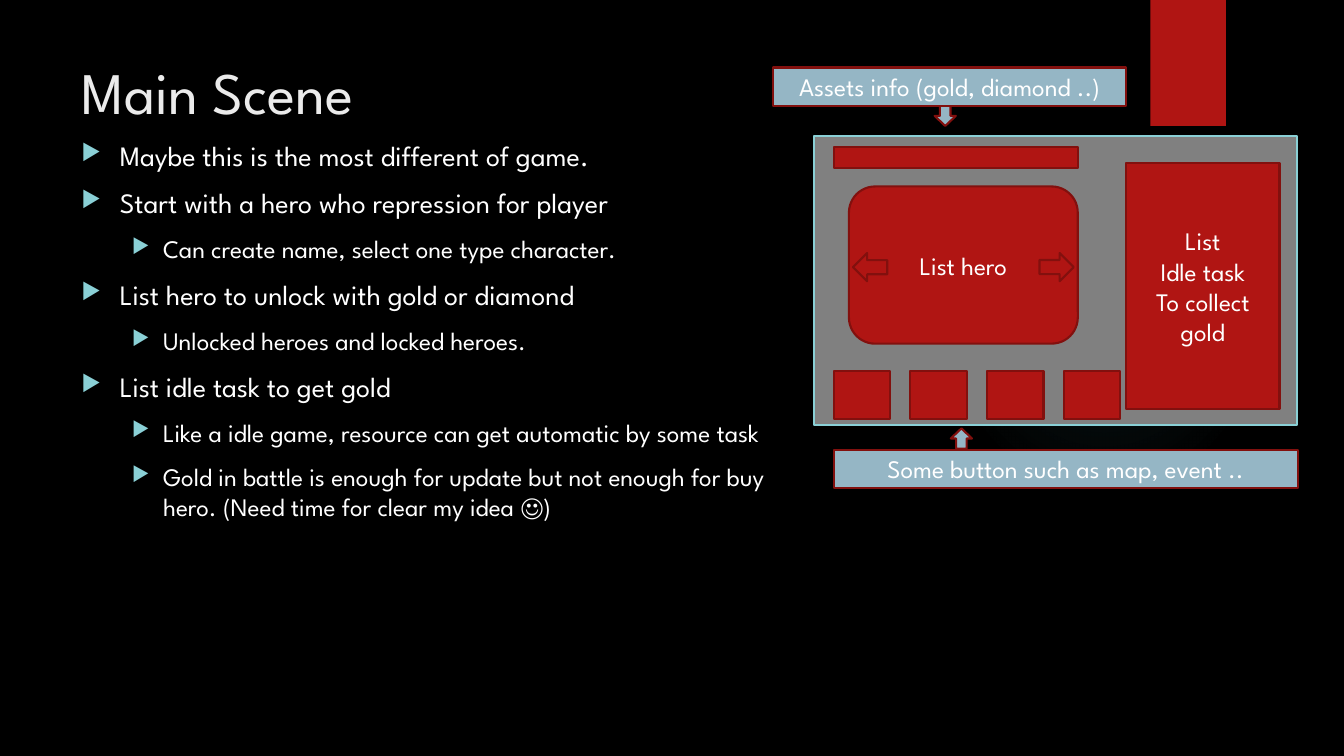
from dataclasses import dataclass

from lxml import etree
from pptx import Presentation
from pptx.dml.color import RGBColor
from pptx.enum.shapes import MSO_SHAPE
from pptx.enum.text import MSO_ANCHOR, PP_ALIGN
from pptx.oxml import parse_xml
from pptx.oxml.ns import nsdecls, qn
from pptx.util import Emu, Pt

RECT = MSO_SHAPE.RECTANGLE
ROUND = MSO_SHAPE.ROUNDED_RECTANGLE
OVAL = MSO_SHAPE.OVAL
RIGHT_ARROW = MSO_SHAPE.RIGHT_ARROW
DOWN_ARROW = MSO_SHAPE.DOWN_ARROW
TOP, MIDDLE = MSO_ANCHOR.TOP, MSO_ANCHOR.MIDDLE
CENTER = PP_ALIGN.CENTER
EMU_PER_PX = 9144  # 100 px to the inch


@dataclass(frozen=True)
class Theme:
    font: str = "League Spartan"
    background: str = "000000"
    title: str = "EBEBEB"
    text: str = "FFFFFF"
    red: str = "B01513"
    dark_red: str = "82100E"
    aqua: str = "8AD0D6"
    glow: str = "50B9C1"
    screen: str = "808080"
    callout: str = "95B6C5"
    title_size: int = 42
    body_sizes: tuple = (20, 18)
    label_size: int = 18
    line_width: float = 1.5


def px(n):
    return Emu(round(n * EMU_PER_PX))


def rgb(value):
    return RGBColor.from_string(value)


class SlideBuilder:
    def __init__(self, slide, theme):
        self.slide, self.theme = slide, theme
        fill = slide.background.fill
        fill.solid()
        fill.fore_color.rgb = rgb(theme.background)

    def run(self, p, text, size, color):
        r = p.add_run()
        r.text = text
        r.font.size = Pt(size)
        r.font.name = self.theme.font
        r.font.color.rgb = rgb(color)

    def shape(self, kind, box, fill, line=None, lines=(), rotation=0):
        """Add a preset shape, with one centred paragraph per entry of lines."""
        sp = self.slide.shapes.add_shape(kind, *map(px, box))
        sp.shadow.inherit = False
        sp.rotation = rotation
        sp.fill.solid()
        sp.fill.fore_color.rgb = rgb(fill)
        if line:
            sp.line.color.rgb = rgb(line)
            sp.line.width = Pt(self.theme.line_width)
        else:
            sp.line.fill.background()
        tf = sp.text_frame
        tf.word_wrap = True
        tf.vertical_anchor = MIDDLE
        for i, text in enumerate(lines):
            p = tf.add_paragraph() if i else tf.paragraphs[0]
            p.alignment = CENTER
            self.run(p, text, self.theme.label_size, self.theme.text)
        return sp

    def glow(self, box, stops):
        """Add a circle fading outwards; stops are (position %, opacity %)."""
        sp = self.shape(OVAL, box, self.theme.glow)
        gs = "".join(
            f'<a:gs pos="{pos * 1000}"><a:srgbClr val="{self.theme.glow}">'
            f'<a:alpha val="{alpha * 1000}"/></a:srgbClr></a:gs>'
            for pos, alpha in stops)
        grad = parse_xml(
            f'<a:gradFill {nsdecls("a")}><a:gsLst>{gs}</a:gsLst><a:path path="circle">'
            '<a:fillToRect l="50000" t="50000" r="50000" b="50000"/></a:path></a:gradFill>')
        props = sp.element.spPr
        props.replace(props.find(qn("a:solidFill")), grad)

    def text_box(self, box):
        tf = self.slide.shapes.add_textbox(*map(px, box)).text_frame
        tf.word_wrap = True
        tf.vertical_anchor = TOP
        return tf

    def title(self, box, text):
        p = self.text_box(box).paragraphs[0]
        self.run(p, text, self.theme.title_size, self.theme.title)

    def bullets(self, box, items):
        """Add a two-level list from (level, text) pairs."""
        tf = self.text_box(box)
        indents = ((38, 38), (81, 31))
        for i, (level, text) in enumerate(items):
            p = tf.add_paragraph() if i else tf.paragraphs[0]
            p.level = level
            p.space_before = Pt(10)
            self.run(p, text, self.theme.body_sizes[level], self.theme.text)
            margin, hanging = indents[level]
            pPr = p._p.get_or_add_pPr()
            pPr.set("marL", str(px(margin)))
            pPr.set("indent", str(-px(hanging)))
            color = etree.SubElement(pPr, qn("a:buClr"))
            etree.SubElement(color, qn("a:srgbClr"), val=self.theme.aqua)
            etree.SubElement(pPr, qn("a:buSzPct"), val="80000")
            etree.SubElement(pPr, qn("a:buChar"), char="▶")


def main():
    prs = Presentation()
    prs.slide_width, prs.slide_height = px(1333), px(750)
    theme = Theme()
    s = SlideBuilder(prs.slides.add_slide(prs.slide_layouts[6]), theme)
    red = (theme.red, theme.dark_red)
    blue = (theme.callout, theme.dark_red)

    s.glow((941, 183, 308, 308), ((0, 7), (36, 6), (69, 0)))
    s.shape(RECT, (1141, 0, 75, 125), theme.red)
    s.title((71, 50, 1029, 82), "Main Scene")
    s.bullets((71, 132, 736, 581), (
        (0, "Maybe this is the most different of game."),
        (0, "Start with a hero who repression for player"),
        (1, "Can create name, select one type character."),
        (0, "List hero to unlock with gold or diamond"),
        (1, "Unlocked heroes and locked heroes."),
        (0, "List idle task to get gold"),
        (1, "Like a idle game, resource can get automatic by some task"),
        (1, "Gold in battle is enough for update but not enough for buy hero. "
            "(Need time for clear my idea ☺)"),
    ))

    # Game screen
    s.shape(RECT, (807, 135, 479, 287), theme.screen, theme.aqua)
    s.shape(ROUND, (842, 185, 227, 156), *red, lines=("List hero",))
    s.shape(RECT, (1117, 162, 152, 244), *red,
            lines=("List", "Idle task", "To collect gold"))
    s.shape(RECT, (827, 146, 242, 21), *red)
    for i in range(4):
        s.shape(RECT, (827 + 76 * i, 368, 56, 48), *red)
    for left, rotation in ((1031, 0), (846, 180)):
        s.shape(RIGHT_ARROW, (left, 251, 34, 28), *red, rotation=rotation)

    # Callouts
    s.shape(DOWN_ARROW, (927, 105, 21, 20), *blue)
    s.shape(RECT, (767, 67, 350, 38), *blue, lines=("Assets info (gold, diamond ..)",))
    s.shape(DOWN_ARROW, (943, 425, 21, 20), *blue, rotation=180)
    s.shape(RECT, (827, 446, 460, 38), *blue, lines=("Some button such as map, event ..",))

    prs.save("out.pptx")


if __name__ == "__main__":
    main()
